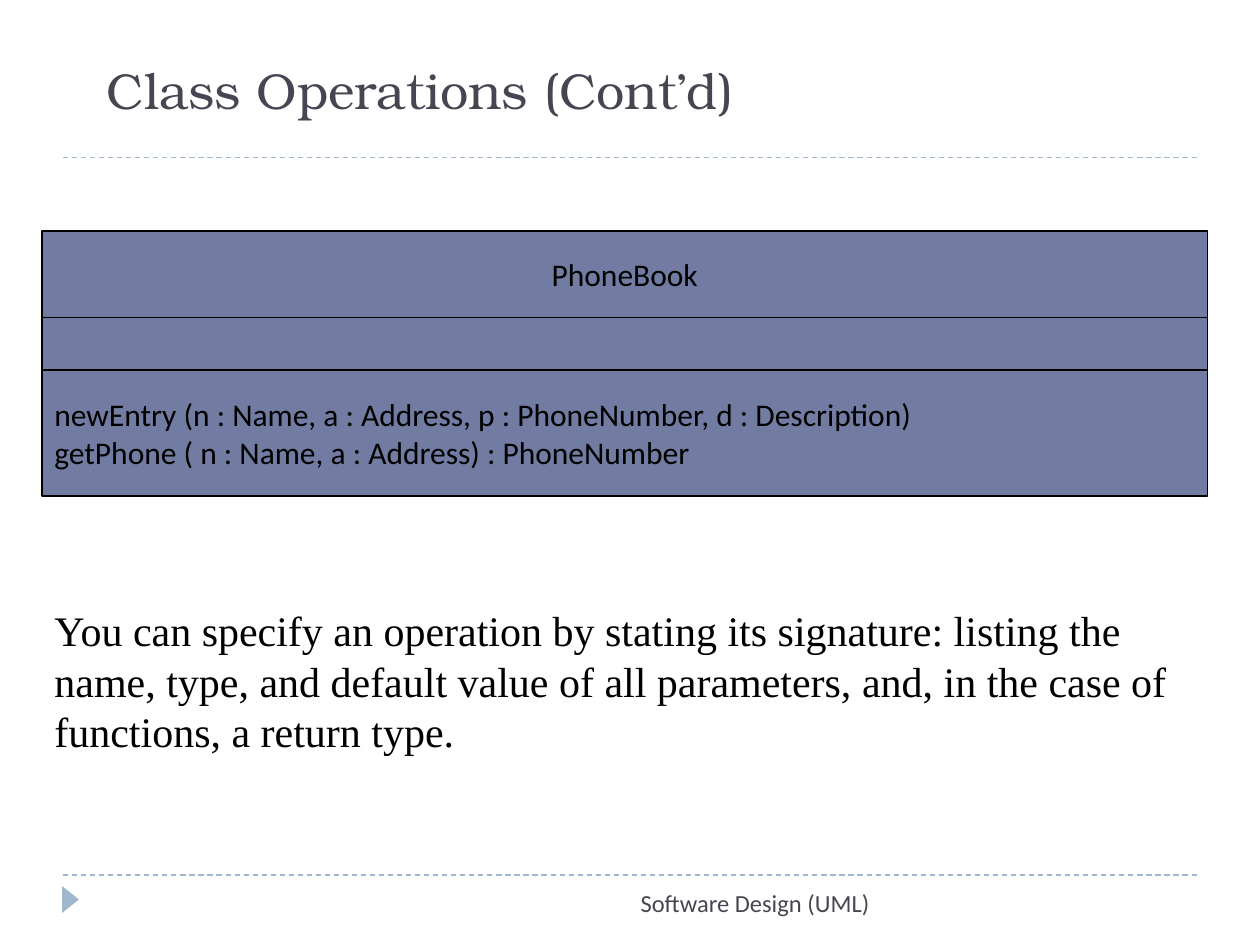
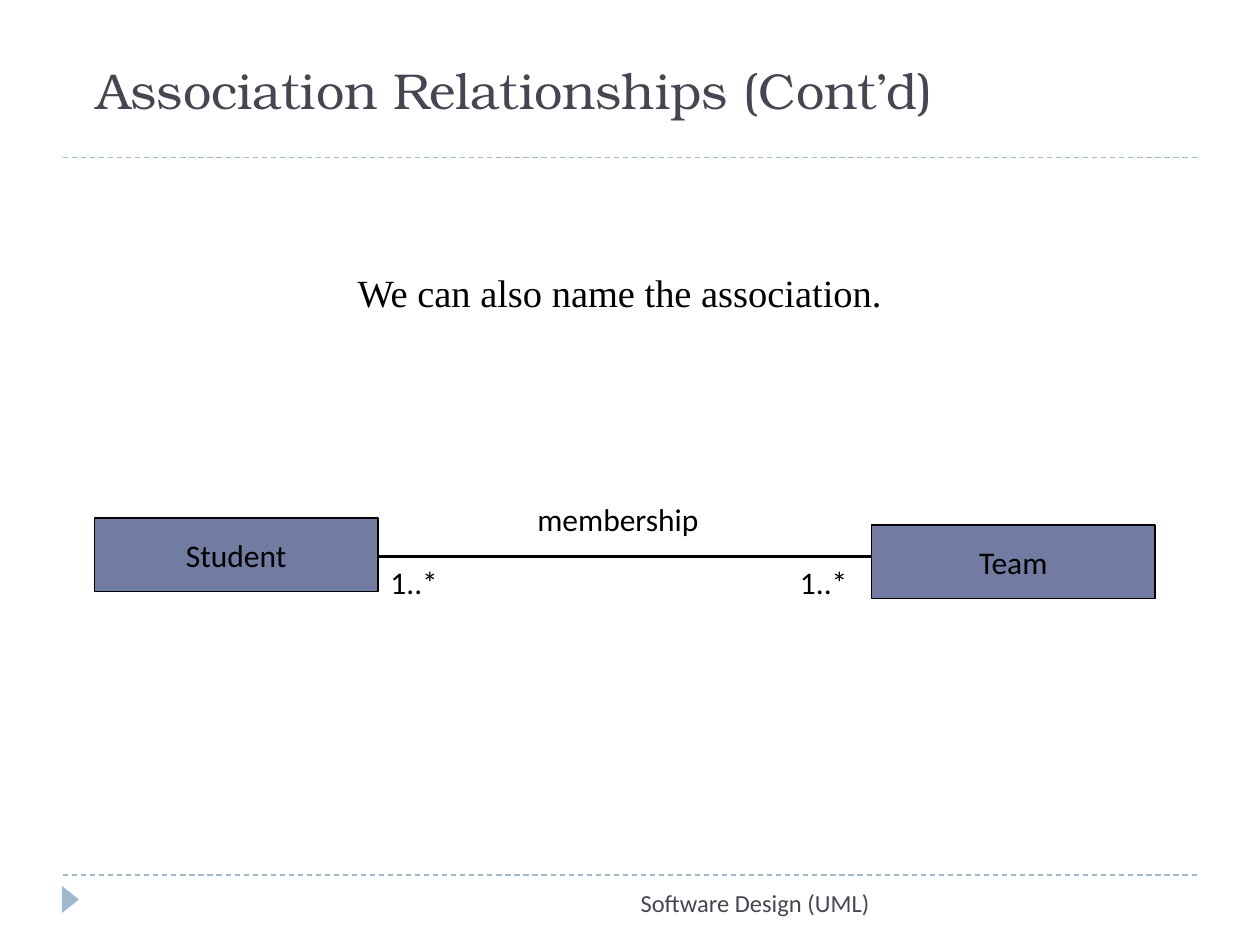
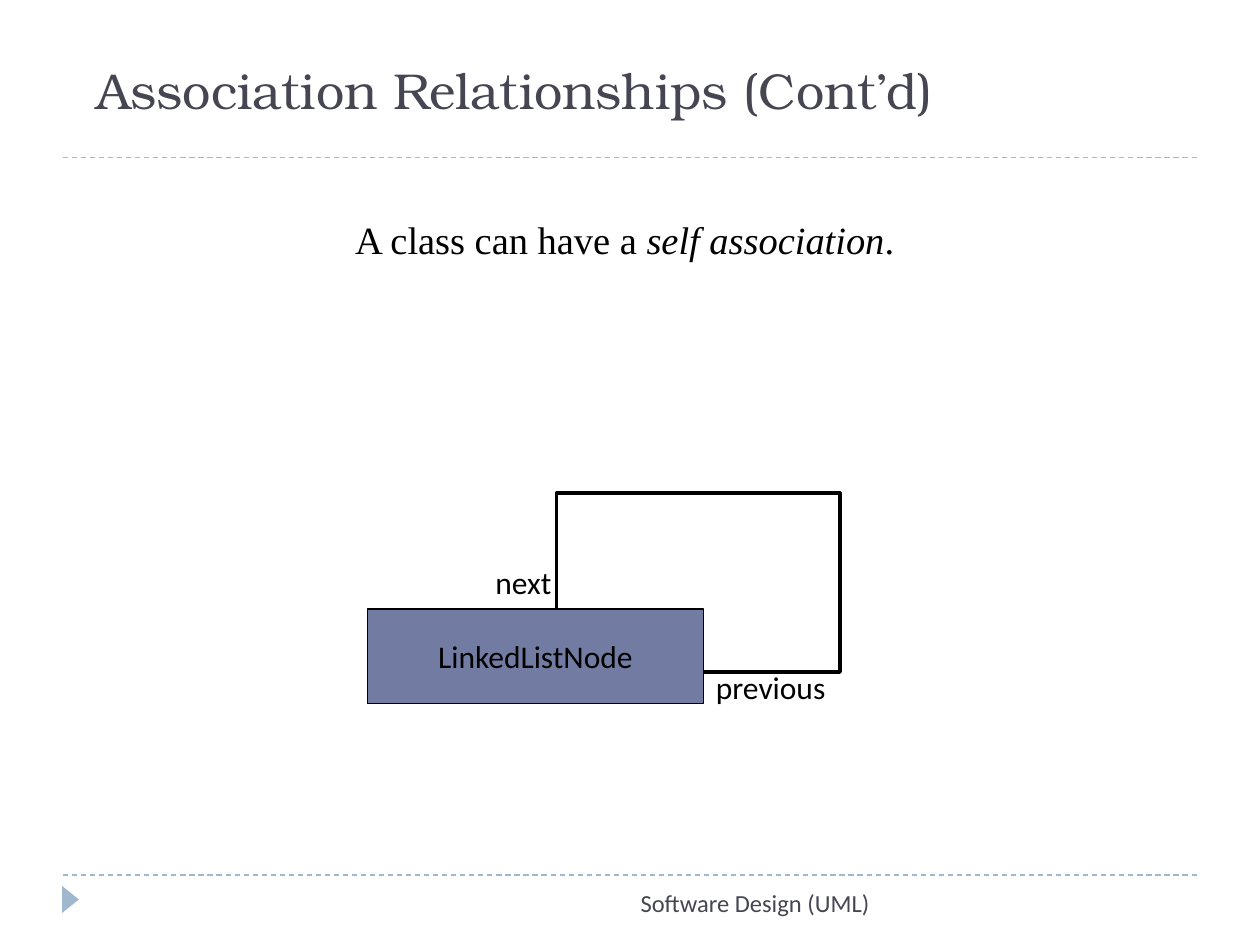
from dataclasses import dataclass
from typing import Any, NamedTuple

import lxml.etree
import pptx
import pptx.dml.color
import pptx.enum.dml
import pptx.enum.shapes
import pptx.enum.text
import pptx.oxml.ns
import pptx.slide
import pptx.text.text
import pptx.util

Pt = pptx.util.Pt
RGBColor = pptx.dml.color.RGBColor
Align = pptx.enum.text.PP_ALIGN
Anchor = pptx.enum.text.MSO_ANCHOR
Preset = pptx.enum.shapes.MSO_SHAPE

BLACK = RGBColor(0x00, 0x00, 0x00)
WHITE = RGBColor(0xFF, 0xFF, 0xFF)
SLATE = RGBColor(0x46, 0x46, 0x53)
INDIGO = RGBColor(0x72, 0x7C, 0xA3)
PALE_BLUE = RGBColor(0x9F, 0xB8, 0xCD)

TITLE_FONT = {"name": "TeX Gyre Bonum", "size": Pt(28.8), "color": SLATE}
FOOTER_FONT = {"name": "Calibri", "size": Pt(14), "color": SLATE}
DIAGRAM_FONT = {"name": "Calibri", "size": Pt(18), "color": BLACK}
LARGE_FONT = {"name": "Times New Roman", "size": Pt(24), "color": BLACK}
BODY_FONT = {**LARGE_FONT, "size": Pt(22)}

FOOTER = "Software Design (UML)"
ASSOCIATIONS = "Association Relationships (Cont’d)"


class Frame(NamedTuple):
    left: float
    top: float
    width: float
    height: float

    def lengths(self) -> list[pptx.util.Length]:
        return [Pt(value) for value in self]


class Span(NamedTuple):
    text: str
    italic: bool = False


@dataclass(frozen=True)
class Label:
    frame: Frame
    lines: list[list[Span]]
    font: dict[str, Any]
    align: Align = Align.LEFT
    anchor: Anchor = Anchor.TOP


@dataclass(frozen=True)
class ClassBox:
    frame: Frame
    lines: tuple[str, ...] = ()
    align: Align = Align.CENTER
    fill: RGBColor = INDIGO
    border: float = 0.75


def plain(*lines: str) -> list[list[Span]]:
    return [[Span(line)] for line in lines]


def set_font(font: pptx.text.text.Font, values: dict[str, Any]) -> None:
    for name, value in values.items():
        if name == "color":
            font.color.rgb = value
        else:
            setattr(font, name, value)


def write_text(text_frame: pptx.text.text.TextFrame, lines: list[list[Span]],
               font: dict[str, Any], align: Align, anchor: Anchor) -> None:
    text_frame.word_wrap = True
    text_frame.vertical_anchor = anchor
    for index, line in enumerate(lines):
        para = text_frame.add_paragraph() if index else text_frame.paragraphs[0]
        para.alignment = align
        for span in line:
            run = para.add_run()
            run.text = span.text
            set_font(run.font, {**font, "italic": span.italic})


def draw_label(page: pptx.slide.Slide, label: Label) -> None:
    box = page.shapes.add_textbox(*label.frame.lengths())
    write_text(box.text_frame, label.lines, label.font, label.align, label.anchor)


def draw_class_box(page: pptx.slide.Slide, spec: ClassBox) -> None:
    box = page.shapes.add_shape(Preset.RECTANGLE, *spec.frame.lengths())
    box.shadow.inherit = False
    box.fill.solid()
    box.fill.fore_color.rgb = spec.fill
    box.line.color.rgb = BLACK
    box.line.width = Pt(spec.border)
    write_text(box.text_frame, plain(*spec.lines), DIAGRAM_FONT, spec.align, Anchor.MIDDLE)


def draw_rule(page: pptx.slide.Slide, left: float, right: float, top: float,
              format_values: dict[str, Any], color: RGBColor) -> None:
    rule = page.shapes.add_connector(
        pptx.enum.shapes.MSO_CONNECTOR.STRAIGHT, Pt(left), Pt(top), Pt(right), Pt(top))
    rule.line.color.rgb = color
    for name, value in format_values.items():
        setattr(rule.line, name, value)
    lxml.etree.SubElement(rule._element.spPr, pptx.oxml.ns.qn("a:effectLst"))


def add_page(deck: Any, title: str, left: float, width: float) -> pptx.slide.Slide:
    page = deck.slides.add_slide(deck.slide_layouts[6])
    dashed = {"width": Pt(0.75), "dash_style": pptx.enum.dml.MSO_LINE.DASH}
    for top in (500, 90):
        draw_rule(page, 36, 684, top, dashed, PALE_BLUE)
    marker = page.shapes.add_shape(
        Preset.ISOSCELES_TRIANGLE, *Frame(32.6, 509.2, 15.4, 9.6).lengths())
    marker.rotation = 90
    marker.shadow.inherit = False
    marker.fill.solid()
    marker.fill.fore_color.rgb = PALE_BLUE
    marker.line.fill.background()
    draw_label(page, Label(Frame(186, 504, 318, 36), plain(FOOTER), FOOTER_FONT, Align.RIGHT))
    draw_label(page, Label(Frame(left, 30, width, 42), plain(title), TITLE_FONT,
                           anchor=Anchor.BOTTOM))
    return page


def build_operations(deck: Any) -> None:
    page = add_page(deck, "Class Operations (Cont’d)", 54, 618)
    operations = (
        "newEntry (n : Name, a : Address, p : PhoneNumber, d : Description)",
        "getPhone ( n : Name, a : Address) : PhoneNumber",
    )
    for compartment in (
        ClassBox(Frame(24, 132, 666, 49.5), ("PhoneBook",)),
        ClassBox(Frame(24, 181.5, 666, 37.5)),
        ClassBox(Frame(24, 211.5, 666, 72), operations, Align.LEFT),
    ):
        draw_class_box(page, compartment)
    explanation = (
        "You can specify an operation by stating its signature: listing the name, type, "
        "and default value of all parameters, and, in the case of functions, a return type."
    )
    draw_label(page, Label(Frame(24, 342, 660, 94), plain(explanation), LARGE_FONT))


def build_named_association(deck: Any) -> None:
    page = add_page(deck, ASSOCIATIONS, 48, 636)
    draw_label(page, Label(Frame(126, 150, 456, 34),
                           plain("We can also name the association."),
                           BODY_FONT, Align.CENTER))
    draw_rule(page, 216, 504, 318, {"width": Pt(2.25)}, BLACK)
    for name, left, top in (("Team", 498, 300), ("Student", 54, 296)):
        draw_class_box(page, ClassBox(Frame(left, top, 162, 42), (name,)))
    for text, frame in (
        ("membership", Frame(300, 282, 138, 36)),
        ("1..*", Frame(216, 318, 60, 36)),
        ("1..*", Frame(450, 318, 54, 36)),
    ):
        draw_label(page, Label(frame, plain(text), DIAGRAM_FONT))


def build_self_association(deck: Any) -> None:
    page = add_page(deck, ASSOCIATIONS, 48, 642)
    sentence = [Span("A class can have a "), Span("self association", True), Span(".")]
    draw_label(page, Label(Frame(48, 120, 618, 34), [sentence], BODY_FONT, Align.CENTER))
    draw_class_box(page, ClassBox(Frame(318, 282, 162, 102), fill=WHITE, border=2.25))
    draw_class_box(page, ClassBox(Frame(210, 348, 192, 54), ("LinkedListNode",)))
    for role, frame in (
        ("next", Frame(276, 318, 48, 29)),
        ("previous", Frame(402, 378, 84, 29)),
    ):
        draw_label(page, Label(frame, plain(role), DIAGRAM_FONT))


def main() -> None:
    deck = pptx.Presentation()
    deck.slide_width, deck.slide_height = Pt(720), Pt(540)
    build_operations(deck)
    build_named_association(deck)
    build_self_association(deck)
    deck.save("out.pptx")


if __name__ == "__main__":
    main()
